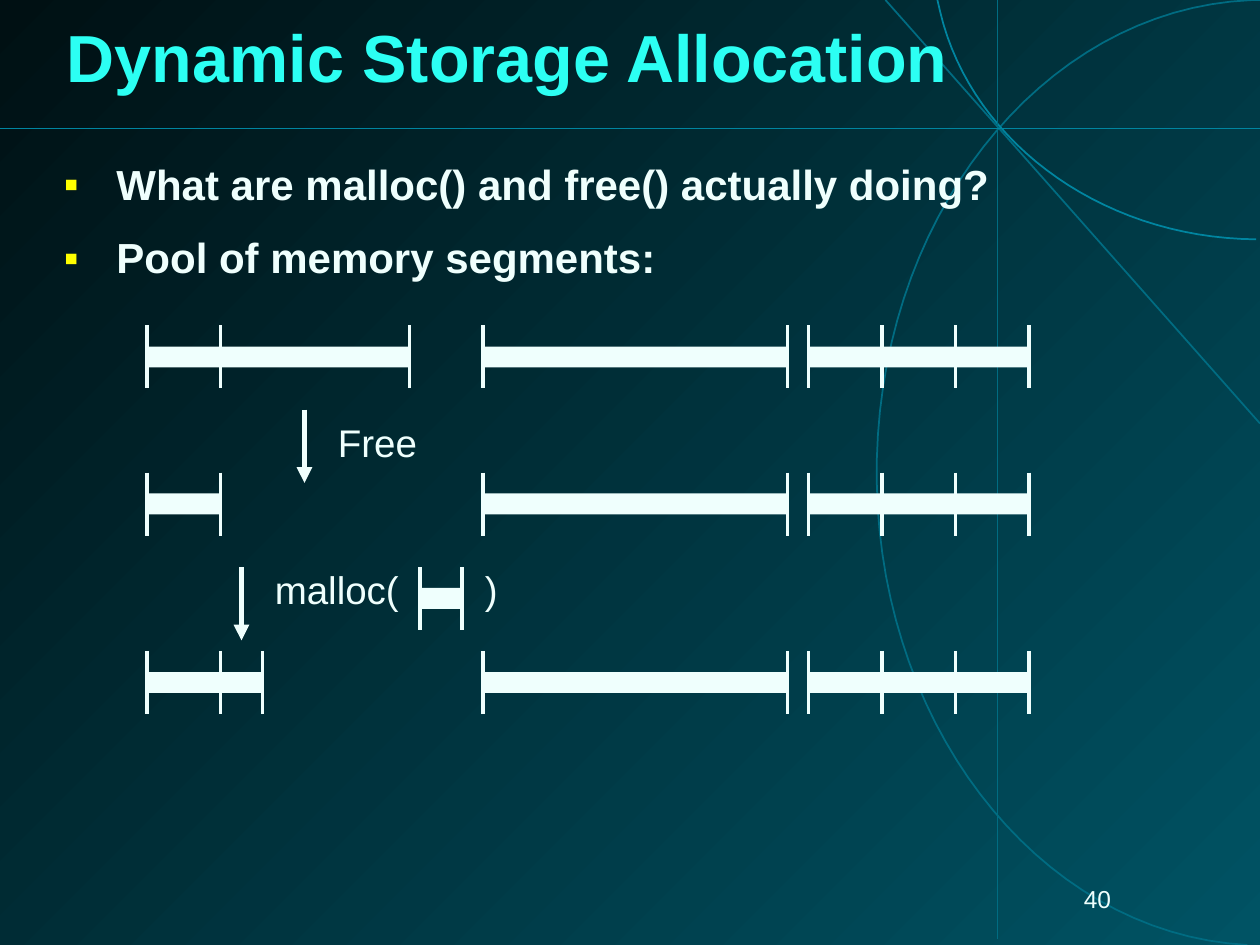
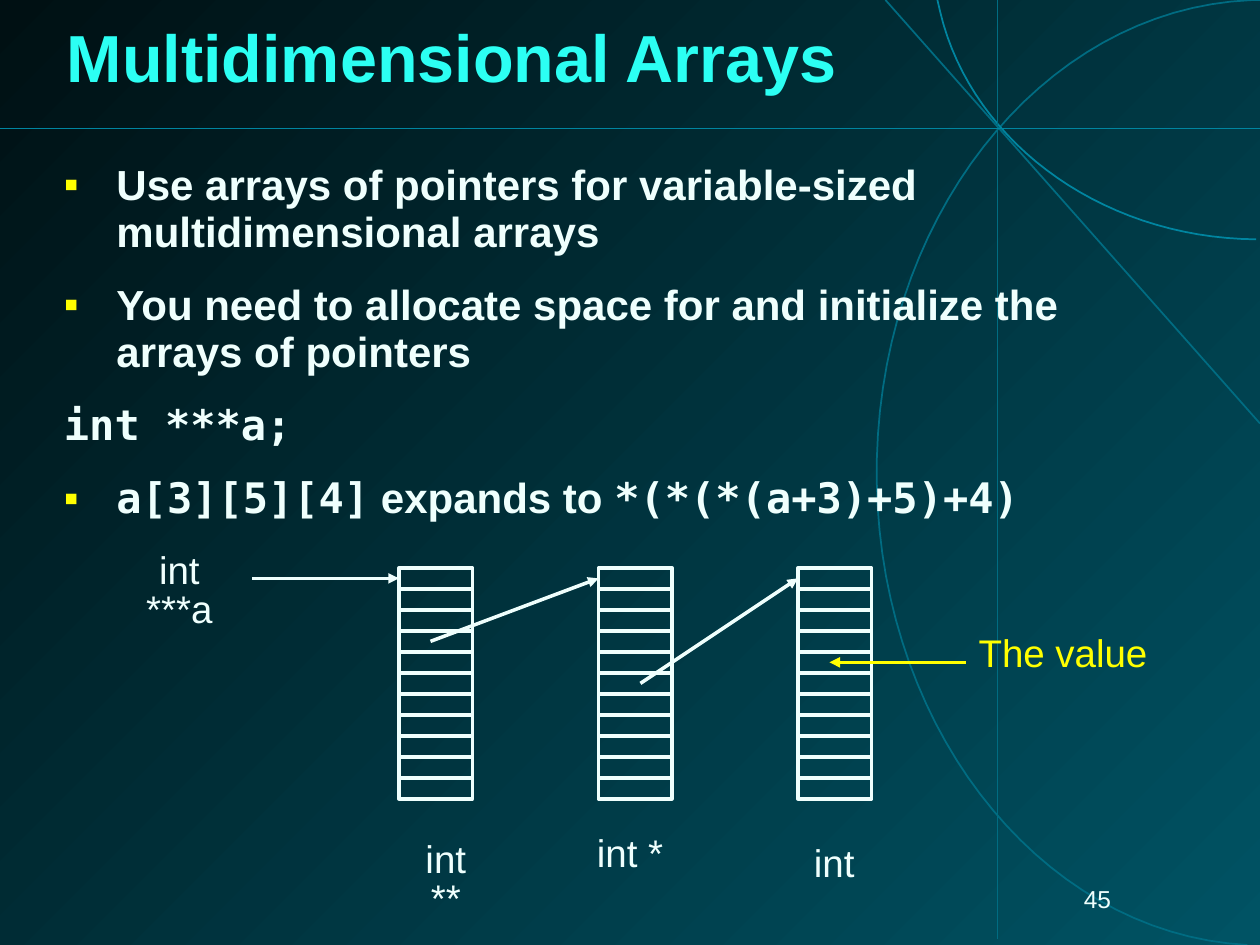
from dataclasses import dataclass
from itertools import pairwise

from lxml.etree import SubElement
from pptx import Presentation
from pptx.dml.color import RGBColor as Rgb
from pptx.enum.shapes import MSO_CONNECTOR as Connector, MSO_SHAPE as Preset
from pptx.enum.text import MSO_ANCHOR as Anchor, MSO_AUTO_SIZE as AutoSize, PP_ALIGN as Align
from pptx.oxml.ns import qn
from pptx.util import Pt


@dataclass(frozen=True)
class Theme:
    glow: str = "005364"
    night: str = "001013"
    orbit: str = "006C82"
    horizon: str = "0085A0"
    ink: str = "EFFFFD"
    heading: str = "2CFFF3"
    accent: str = "FFFF00"
    shade: str = "000000"
    sans: str = "Arial"
    mono: str = "DejaVu Sans Mono"
    title_size: int = 38
    body_size: int = 24
    label_size: int = 22
    number_size: int = 14


THEME = Theme()
MONO = {"font": THEME.mono}

CELL_WIDTH, CELL_HEIGHT, CELL_COUNT = 42, 12, 11
ARRAY_TOP = 324.5
ARRAY_LEFTS = [228, 342, 456]
BAR_HEIGHT, TICK_HEIGHT = 12, 36

LARGE_ORBIT = [
    [(712.8, 540), (591.84, 533.5), (497.5, 409.7), (501.1, 262.1)],
    [(501.1, 262.1), (504.7, 114.5), (604.8, -2.2), (725.8, 0)],
]
SMALL_ORBIT = [[(717.8, 136.8), (627.1, 136.1), (550.1, 77.8), (535.7, -0.7)]]


def write(paragraph, text, *, size, color=THEME.ink, font=THEME.sans, bold=False):
    run = paragraph.add_run()
    run.text = text
    run.font.size = Pt(size)
    run.font.bold = bold
    run.font.color.rgb = Rgb.from_string(color)
    run.font.name = font
    return run


def bezier(start, first, second, end, steps=32):
    for step in range(steps + 1):
        t = step / steps
        weights = [(1 - t) ** 3, 3 * t * (1 - t) ** 2, 3 * t * t * (1 - t), t ** 3]
        x, y = (sum(w * c for w, c in zip(weights, axis))
                for axis in zip(start, first, second, end))
        yield Pt(min(x, 720)), Pt(max(y, 0))


def row_middle(row):
    return ARRAY_TOP + (row + 0.5) * CELL_HEIGHT


class Deck:
    def __init__(self, theme):
        self.theme = theme
        self.prs = Presentation()
        self.prs.slide_width, self.prs.slide_height = Pt(720), Pt(540)
        backdrop = self.prs.slide_master.background.fill
        backdrop.gradient()
        backdrop.gradient_angle = 135
        for stop, color in zip(backdrop.gradient_stops, (theme.glow, theme.night)):
            stop.color.rgb = Rgb.from_string(color)

    def start_slide(self, heading, number):
        self.slide = self.prs.slides.add_slide(self.prs.slide_layouts[5])
        self.shapes = self.slide.shapes
        self.decorate()
        self.title(heading)
        self.label(number, 60, 504, 582, 21.5, align=Align.RIGHT, size=self.theme.number_size)

    def decorate(self):
        theme = self.theme
        self.arc(LARGE_ORBIT, theme.orbit)
        self.arc(SMALL_ORBIT, theme.horizon)
        self.line((720, 242), (506, 0), theme.orbit, 1)
        self.line((570, 0), (570, 536.5), theme.orbit, 1)
        self.line((0, 73.5), (720, 73.5), theme.horizon, 1)

    def arc(self, curves, color):
        start, *rest = [point for curve in curves for point in bezier(*curve)]
        builder = self.shapes.build_freeform(*start)
        builder.add_line_segments(rest, close=False)
        outline = builder.convert_to_shape()
        outline.shadow.inherit = False
        outline.fill.background()
        outline.line.color.rgb = Rgb.from_string(color)
        outline.line.width = Pt(1)

    def title(self, heading):
        holder = self.shapes.title
        holder.element.getparent().append(holder.element)
        holder.left, holder.top, holder.width, holder.height = Pt(31), Pt(0), Pt(663), Pt(70.5)
        frame = holder.text_frame
        frame.auto_size = AutoSize.NONE
        frame.vertical_anchor = Anchor.MIDDLE
        paragraph = frame.paragraphs[0]
        paragraph.alignment = Align.LEFT
        paragraph.line_spacing = 0.87
        run = write(paragraph, heading, size=self.theme.title_size,
                    color=self.theme.heading, bold=True)
        properties = run.font.fill._xPr
        effects = SubElement(properties, qn("a:effectLst"))
        properties.find(qn("a:latin")).addprevious(effects)
        shadow = SubElement(effects, qn("a:outerShdw"), dist=str(Pt(4)), dir="2700000")
        SubElement(shadow, qn("a:srgbClr"), val=self.theme.shade)

    def text_frame(self, left, top, width, height, wrap=True):
        frame = self.shapes.add_textbox(Pt(left), Pt(top), Pt(width), Pt(height)).text_frame
        frame.word_wrap = wrap
        return frame

    def label(self, text, left, top, width, height=29.5, *, align=Align.LEFT, wrap=True,
              size=THEME.label_size, color=THEME.ink):
        frame = self.text_frame(left, top, width, height, wrap)
        frame.auto_size = AutoSize.SHAPE_TO_FIT_TEXT
        paragraph = frame.paragraphs[0]
        paragraph.alignment = align
        paragraph.line_spacing = 0.85
        write(paragraph, text, size=size, color=color)

    def caption(self, text, left, top, width, color=THEME.ink):
        self.label(text, left, top, width, align=Align.CENTER, wrap=False, color=color)

    def body(self, items):
        frame = self.text_frame(29.5, 89.5, 656.5, 402.5)
        for index, (bulleted, runs) in enumerate(items):
            paragraph = frame.add_paragraph() if index else frame.paragraphs[0]
            if bulleted:
                self.bullet(paragraph)
            paragraph.line_spacing = 0.93
            if index:
                paragraph.space_before = Pt(15)
            for text, style in runs:
                write(paragraph, text, size=self.theme.body_size, bold=True, **style)

    def bullet(self, paragraph):
        properties = paragraph._p.get_or_add_pPr()
        properties.set("marL", str(Pt(30)))
        properties.set("indent", str(-Pt(30)))
        color = SubElement(properties, qn("a:buClr"))
        SubElement(color, qn("a:srgbClr"), val=self.theme.accent)
        SubElement(properties, qn("a:buFont"), typeface=self.theme.sans)
        SubElement(properties, qn("a:buChar"), char="▪")

    def line(self, start, end, color=THEME.ink, width=2, *, arrow=False, parent=None):
        ends = [Pt(value) for value in (*start, *end)]
        connector = (parent or self.shapes).add_connector(Connector.STRAIGHT, *ends)
        connector.line.color.rgb = Rgb.from_string(color)
        connector.line.width = Pt(width)
        properties = connector.element.spPr
        if arrow:
            SubElement(properties.find(qn("a:ln")), qn("a:tailEnd"), type="triangle")
        SubElement(properties, qn("a:effectLst"))

    def arrow(self, start, end, color=THEME.ink, width=2):
        self.line(start, end, color, width, arrow=True)

    def box(self, left, top, width, height, *, filled, parent=None):
        rect = (parent or self.shapes).add_shape(
            Preset.RECTANGLE, Pt(left), Pt(top), Pt(width), Pt(height))
        rect.shadow.inherit = False
        ink = Rgb.from_string(self.theme.ink)
        if filled:
            rect.fill.solid()
            rect.fill.fore_color.rgb = ink
            rect.line.fill.background()
        else:
            rect.fill.background()
            rect.line.color.rgb = ink
            rect.line.width = Pt(2)

    def segments(self, edges, top):
        group = self.shapes.add_group_shape().shapes
        for x in edges:
            self.line((x, top), (x, top + TICK_HEIGHT), parent=group)
        bar_top = top + (TICK_HEIGHT - BAR_HEIGHT) / 2
        for left, right in pairwise(edges):
            self.box(left, bar_top, right - left, BAR_HEIGHT, filled=True, parent=group)

    def array(self, left):
        self.box(left, ARRAY_TOP, CELL_WIDTH, CELL_COUNT * CELL_HEIGHT, filled=False)
        for row in range(1, CELL_COUNT):
            y = ARRAY_TOP + row * CELL_HEIGHT
            self.line((left, y), (left + CELL_WIDTH, y))


def storage_slide(deck):
    deck.start_slide("Dynamic Storage Allocation", "40")
    deck.body([
        (True, [("What are malloc() and free() actually doing?", {})]),
        (True, [("Pool of memory segments:", {})]),
    ])
    untouched = [[276, 450], [462, 504, 546, 588]]
    pools = [(186, [84, 126, 234]), (270, [84, 126]), (372, [84, 126, 150])]
    for top, changing in pools:
        for edges in [changing, *untouched]:
            deck.segments(edges, top)
    deck.arrow((174, 234), (174, 276), width=3)
    deck.label("Free", 186, 240, 60)
    deck.arrow((138, 324), (138, 366), width=3)
    deck.label("malloc(", 150, 324, 108)
    deck.segments([240, 264], 324)
    deck.label(")", 270, 324, 24)


def arrays_slide(deck):
    deck.start_slide("Multidimensional Arrays", "45")
    deck.body([
        (True, [("Use arrays of pointers for variable-sized multidimensional arrays", {})]),
        (True, [("You need to allocate space for and initialize the arrays of pointers", {})]),
        (False, [("int ***a;", MONO)]),
        (True, [("a[3][5][4]", MONO), (" expands to ", {}), ("*(*(*(a+3)+5)+4)", MONO)]),
    ])
    for left in ARRAY_LEFTS:
        deck.array(left)
    pointers, rows, values = ARRAY_LEFTS
    deck.arrow((144, row_middle(0)), (pointers, row_middle(0)))
    deck.arrow((246, row_middle(3)), (rows, row_middle(0)))
    deck.arrow((366, row_middle(5)), (values, row_middle(0)))
    deck.arrow((552, row_middle(4)), (474, row_middle(4)), THEME.accent)
    deck.caption("int ***a", 62, 312.5, 81)
    deck.caption("int **", 224.5, 477.5, 60.5)
    deck.caption("int *", 334, 474.5, 52)
    deck.caption("int", 458, 480, 37.5)
    deck.caption("The value", 552, 360, 111, THEME.accent)


def main():
    deck = Deck(THEME)
    storage_slide(deck)
    arrays_slide(deck)
    deck.prs.save("out.pptx")


if __name__ == "__main__":
    main()
